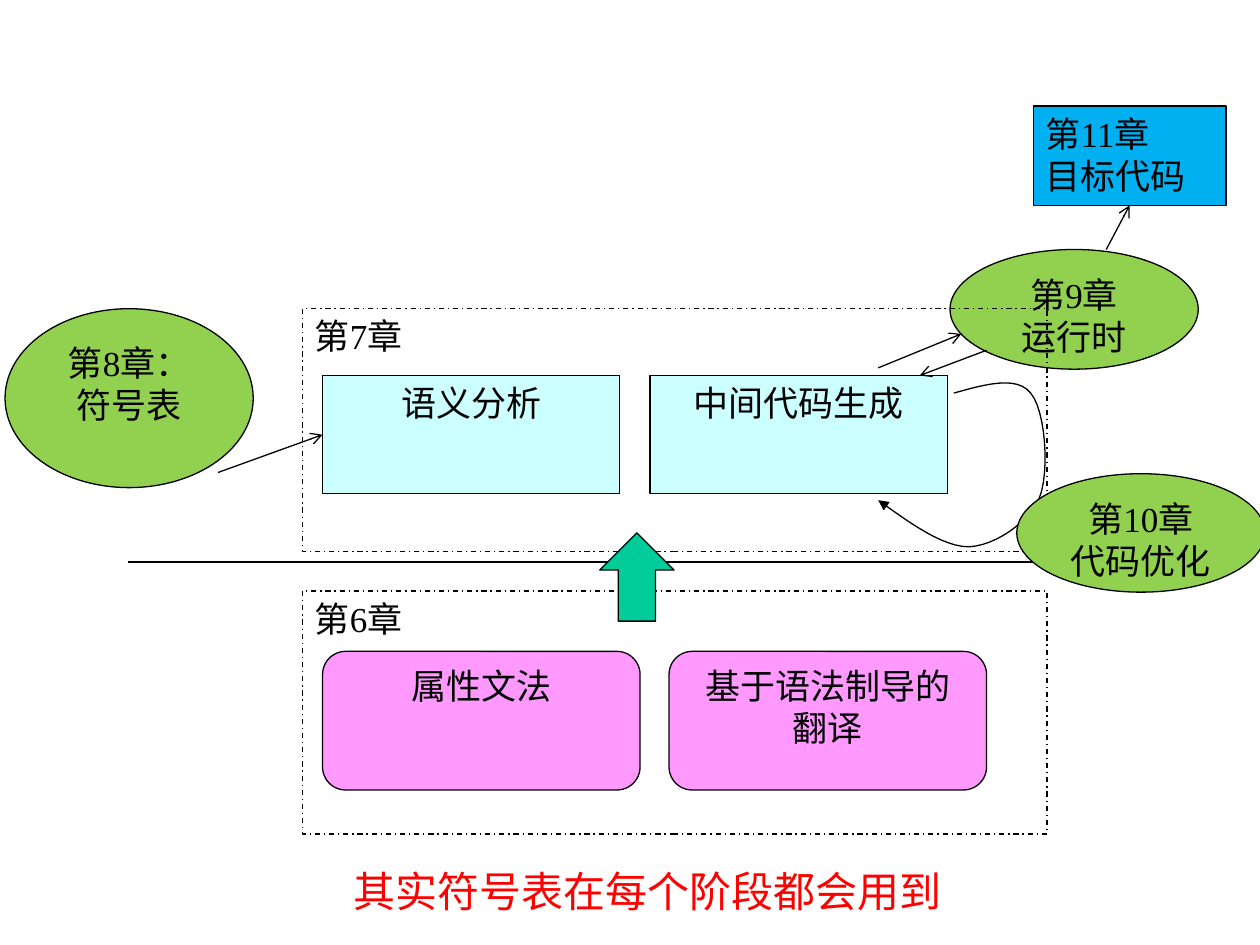
from dataclasses import dataclass

from lxml.etree import SubElement
from pptx import Presentation
from pptx.dml.color import RGBColor
from pptx.enum.dml import MSO_LINE
from pptx.enum.shapes import MSO_CONNECTOR, MSO_SHAPE
from pptx.enum.text import MSO_ANCHOR, MSO_AUTO_SIZE, PP_ALIGN
from pptx.oxml.ns import qn
from pptx.util import Inches, Pt


@dataclass(frozen=True)
class Theme:
    font: str = "Times New Roman"
    size: int = 20
    note: int = 24
    line: float = 0.75
    black: str = "000000"
    red: str = "FF0000"
    pink: str = "FF99FF"
    cyan: str = "CCFFFF"
    green: str = "92D050"
    blue: str = "00B0F0"
    teal: str = "00CC99"


theme = Theme()
deck = Presentation()
deck.slide_width, deck.slide_height = Inches(10), Inches(7.5)
shapes = deck.slides.add_slide(deck.slide_layouts[6]).shapes


def write(shape, text, size=theme.size, color=theme.black,
          align=PP_ALIGN.CENTER, wrap=True):
    frame = shape.text_frame
    frame.word_wrap = wrap
    if not wrap:
        frame.auto_size = MSO_AUTO_SIZE.SHAPE_TO_FIT_TEXT
    frame.vertical_anchor = MSO_ANCHOR.TOP
    frame.text = text
    for para in frame.paragraphs:
        para.alignment = align
        para.font.name = theme.font
        para.font.size = Pt(size)
        para.font.color.rgb = RGBColor.from_string(color)


def trim(shape, fill=None, dash=None, head=None, tail=None):
    """Give a shape or connector its fill, thin black line and arrowheads."""
    line = shape.line
    line.color.rgb = RGBColor.from_string(theme.black)
    line.width = Pt(theme.line)
    if dash:
        line.dash_style = dash
    for tag, kind in (("a:headEnd", head), ("a:tailEnd", tail)):
        if kind:
            SubElement(shape.element.spPr.find(qn("a:ln")), qn(tag), type=kind)
    if hasattr(shape, "begin_x"):
        SubElement(shape.element.spPr, qn("a:effectLst"))
        return
    shape.shadow.inherit = False
    if fill:
        shape.fill.solid()
        shape.fill.fore_color.rgb = RGBColor.from_string(fill)
    else:
        shape.fill.background()


# Chapter boxes and ovals
rect, oval, rounded = MSO_SHAPE.RECTANGLE, MSO_SHAPE.OVAL, MSO_SHAPE.ROUNDED_RECTANGLE
left, mid = PP_ALIGN.LEFT, PP_ALIGN.CENTER
dash = MSO_LINE.DASH_DOT
nodes = {}
for name, kind, box, fill, text, align in (
    ("grammar", rounded, (2.56, 5.17, 2.52, 1.1), theme.pink, "属性文法", mid),
    ("syntax", rounded, (5.31, 5.17, 2.52, 1.1), theme.pink, "基于语法制导的翻译", mid),
    ("meaning", rect, (2.56, 2.98, 2.36, 0.94), theme.cyan, "语义分析", mid),
    ("middle", rect, (5.16, 2.98, 2.36, 0.94), theme.cyan, "中间代码生成", mid),
    ("symbols", oval, (0.04, 2.45, 1.97, 1.42), theme.green, "第8章：\n符号表", mid),
    ("runtime", oval, (7.54, 1.98, 1.97, 0.95), theme.green, "第9章\n运行时", mid),
    ("target", rect, (8.2, 0.84, 1.53, 0.79), theme.blue, "第11章\n目标代码", left),
    ("upper", rect, (2.4, 2.45, 5.91, 1.93), None, "第7章", left),
    ("lower", rect, (2.4, 4.69, 5.91, 1.93), None, "第6章", left),
):
    node = shapes.add_shape(kind, *map(Inches, box))
    trim(node, fill, dash=None if fill else dash)
    write(node, text, align=align)
    nodes[name] = node

# Loop between code generation and optimization, as joined cubic curves
start = (6.97, 3.97)
curves = (
    ((7.22, 4.15), (7.48, 4.34), (7.69, 4.34)),
    ((7.9, 4.33), (8.16, 4.15), (8.25, 3.95)),
    ((8.33, 3.75), (8.3, 3.26), (8.18, 3.12)),
    ((8.07, 2.98), (7.82, 3.05), (7.57, 3.12)),
)
steps = 12
points, last = [], start
for curve in curves:
    for step in range(1, steps + 1):
        t = step / steps
        u = 1 - t
        mix = (u**3, 3 * u * u * t, 3 * u * t * t, t**3)
        points.append(tuple(
            Inches(sum(m * v for m, v in zip(mix, axis)))
            for axis in zip(last, *curve)))
    last = curve[-1]
pen = shapes.build_freeform(*map(Inches, start))
pen.add_line_segments(points, close=False)
trim(pen.convert_to_shape(), head="triangle")

# Divider and arrows; a goal is a box and its connection site
for ends, tail, goal in (
    ((1.02, 4.46, 9.25, 4.46), None, None),
    ((1.73, 3.75, 2.56, 3.45), "arrow", ("meaning", 1)),
    ((6.97, 2.92, 7.63, 2.65), "arrow", None),
    ((8.78, 1.98, 8.96, 1.62), "arrow", ("target", 2)),
    ((7.83, 2.78, 7.3, 2.98), "arrow", None),
):
    link = shapes.add_connector(MSO_CONNECTOR.STRAIGHT, *map(Inches, ends))
    trim(link, tail=tail)
    if goal:
        link.end_connect(nodes[goal[0]], goal[1])

# Optimization oval covers the loop and the divider
best = shapes.add_shape(oval, *map(Inches, (8.07, 3.76, 1.97, 0.94)))
trim(best, theme.green)
write(best, "第10章\n代码优化")

rise = shapes.add_shape(MSO_SHAPE.UP_ARROW, *map(Inches, (4.76, 4.23, 0.59, 0.7)))
trim(rise, theme.teal)

note = shapes.add_textbox(*map(Inches, (2.71, 6.82, 4.9, 0.5)))
write(note, "其实符号表在每个阶段都会用到", size=theme.note, color=theme.red,
      align=left, wrap=False)

deck.save("out.pptx")
